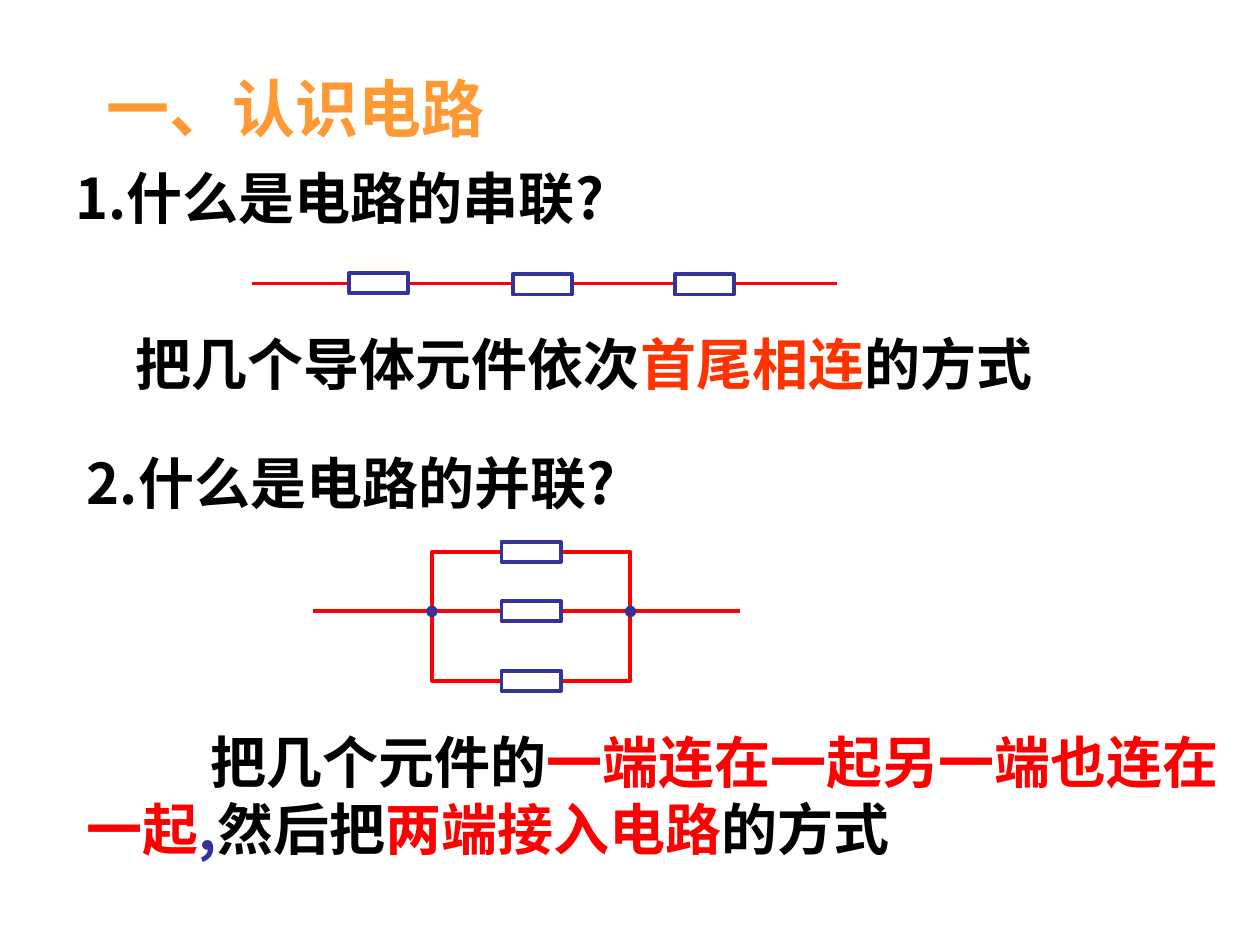
from lxml import etree
from pptx import Presentation
from pptx.dml.color import RGBColor
from pptx.enum import shapes, text
from pptx.oxml import ns
from pptx.util import Pt

FONT = "Noto Sans CJK SC"
BLACK, WHITE, RED, BLUE = "000000", "FFFFFF", "FF0000", "333399"
ORANGE, VERMILION = "FF9933", "FF3300"
RESISTOR_W, RESISTOR_H = 33.8, 11.5
NODE = 5.8


def color(value):
    return RGBColor.from_string(value)


def add_text(slide, box, runs, size=32, indent=0):
    """Write one bold paragraph from (wording, colour) pairs."""
    frame = slide.shapes.add_textbox(*map(Pt, box)).text_frame
    frame.word_wrap = True
    frame.auto_size = text.MSO_AUTO_SIZE.SHAPE_TO_FIT_TEXT
    paragraph = frame.paragraphs[0]
    if indent:
        properties = paragraph._p.get_or_add_pPr()
        properties.set("marL", "0")
        properties.set("indent", str(Pt(indent)))
    for wording, hue in runs:
        run = paragraph.add_run()
        run.text = wording
        font = run.font
        font.name, font.size, font.bold = FONT, Pt(size), True
        font.color.rgb = color(hue)
        east_asian = etree.SubElement(run._r.rPr, ns.qn("a:ea"))
        east_asian.set("typeface", FONT)


def add_wire(slide, start, end, y):
    wire = slide.shapes.add_connector(
        shapes.MSO_CONNECTOR.STRAIGHT, Pt(start), Pt(y), Pt(end), Pt(y))
    wire.line.color.rgb = color(RED)
    wire.line.width = Pt(2.25)
    etree.SubElement(wire._element.spPr, ns.qn("a:effectLst"))


def add_part(slide, kind, box, line, fill=None, width=2.25):
    part = slide.shapes.add_shape(kind, *map(Pt, box))
    part.shadow.inherit = False
    if fill:
        part.fill.solid()
        part.fill.fore_color.rgb = color(fill)
    else:
        part.fill.background()
    part.line.color.rgb = color(line)
    part.line.width = Pt(width)


def add_resistor(slide, left, top):
    add_part(slide, shapes.MSO_SHAPE.RECTANGLE,
             (left, top, RESISTOR_W, RESISTOR_H), BLUE, WHITE)


def add_node(slide, x, y):
    """Mark a junction centred on the given point."""
    add_part(slide, shapes.MSO_SHAPE.OVAL,
             (x - NODE / 2, y - NODE / 2, NODE, NODE), BLUE, BLUE, 0.75)


def draw_series(slide):
    add_wire(slide, 144, 478.5, 162)
    for left, top in ((199.5, 156), (293, 156.8), (385.5, 156.8)):
        add_resistor(slide, left, top)


def draw_parallel(slide):
    left, top, width, height = 246.8, 315.4, 113.5, 73.6
    main_y = 349.4
    add_wire(slide, 178.6, 422.6, main_y)
    add_part(slide, shapes.MSO_SHAPE.RECTANGLE, (left, top, width, height), RED)
    for branch_y in (top, main_y, top + height):
        add_resistor(slide, 286.6, branch_y - RESISTOR_H / 2)
    for x in (left, left + width):
        add_node(slide, x, main_y)


def main():
    deck = Presentation()
    deck.slide_width, deck.slide_height = Pt(720), Pt(540)
    slide = deck.slides.add_slide(deck.slide_layouts[6])

    add_text(slide, (54, 36, 283.5, 50.4), [("一、认识电路", ORANGE)], size=36)
    add_text(slide, (36, 90, 306, 45.5), [("1.什么是电路的串联?", BLACK)])
    add_text(slide, (70.5, 185, 556, 45.5), [
        ("把几个导体元件依次", BLACK), ("首尾相连", VERMILION), ("的方式", BLACK)])
    add_text(slide, (42.5, 412, 663, 84), [
        ("把几个元件的", BLACK), ("一端连在一起另一端也连在一起", RED),
        (",", BLUE), ("然后把", BLACK), ("两端接入电路", RED),
        ("的方式", BLACK)], indent=70.5)
    add_text(slide, (42.5, 253, 374.5, 45.5), [("2.什么是电路的并联?", BLACK)])
    draw_series(slide)
    draw_parallel(slide)
    deck.save("out.pptx")


if __name__ == "__main__":
    main()
